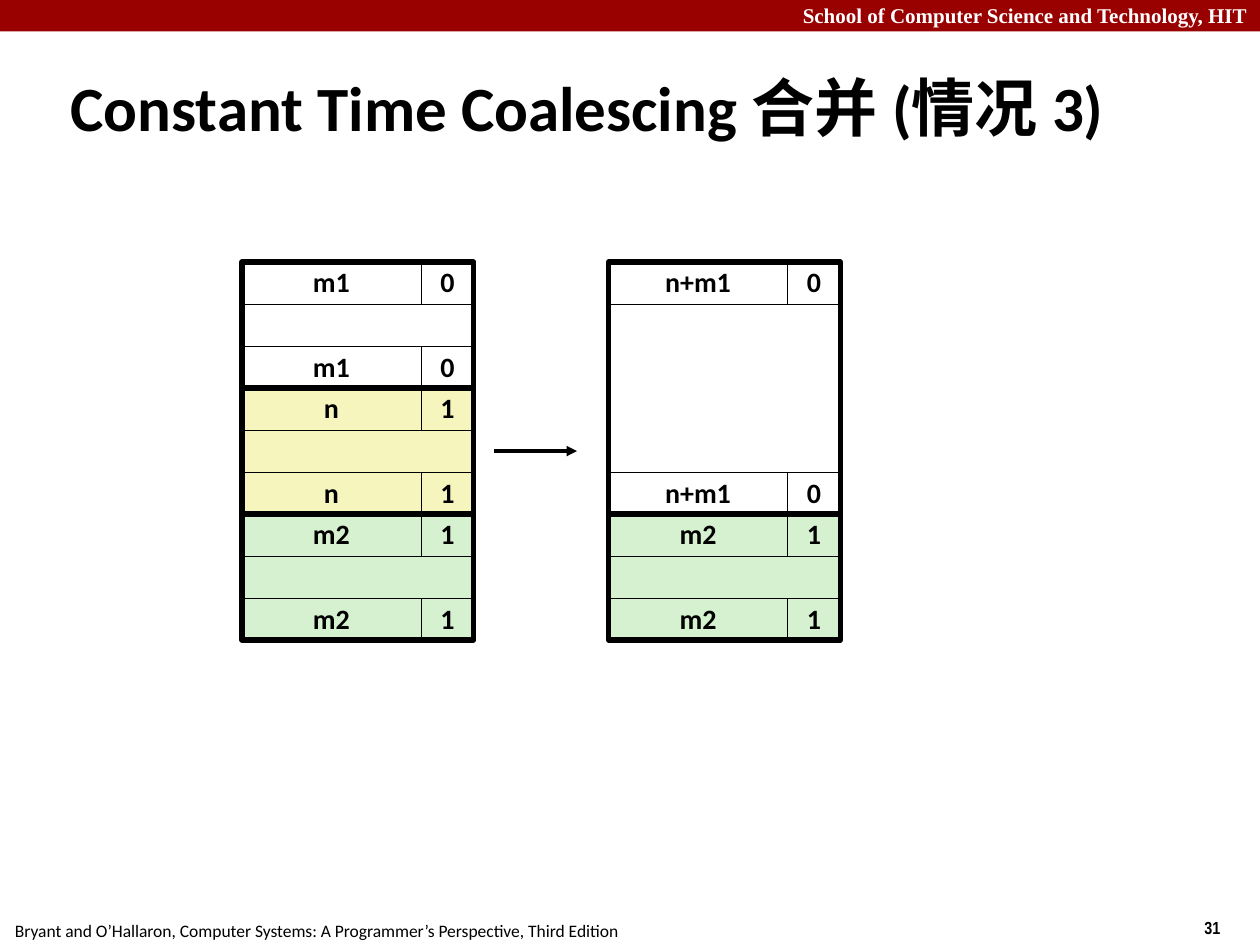
from lxml.etree import SubElement
from pptx import Presentation
from pptx.dml.color import RGBColor
from pptx.enum.shapes import MSO_CONNECTOR as Connector, MSO_SHAPE as Shape
from pptx.enum.text import MSO_ANCHOR as Anchor, MSO_AUTO_SIZE as AutoSize, PP_ALIGN as Align
from pptx.oxml.ns import qn
from pptx.util import Inches, Pt

BLACK, WHITE, RED = "000000", "FFFFFF", "990000"
YELLOW, GREEN = "F6F5BD", "D5F1CF"
ROW_HEIGHT = Inches(1) / 3
SIZE_WIDTH, FLAG_WIDTH = Inches(1.42), Inches(0.42)
BLOCK_WIDTH = SIZE_WIDTH + FLAG_WIDTH
HEAP_TOP = Inches(2.08)


def color(value):
    """Turn a hex string into a colour."""
    return RGBColor.from_string(value)


def write(shape, text, size=16, font="Calibri", fill=BLACK, bold=True,
          align=Align.LEFT, anchor=Anchor.TOP, wrap=False, spacing=1.0):
    """Write one formatted paragraph into a shape."""
    frame = shape.text_frame
    frame.word_wrap = wrap
    frame.auto_size = AutoSize.NONE
    frame.vertical_anchor = anchor
    paragraph = frame.paragraphs[0]
    paragraph.alignment = align
    paragraph.line_spacing = spacing
    run = paragraph.add_run()
    run.text = text
    run.font.size, run.font.name, run.font.bold = Pt(size), font, bold
    run.font.color.rgb = color(fill)


def add_box(slide, left, top, width, height, fill=None, line=0.25):
    """Add a rectangle, unfilled without a fill and unlined without a line."""
    shape = slide.shapes.add_shape(
        Shape.RECTANGLE, round(left), round(top), round(width), round(height))
    shape.shadow.inherit = False
    if fill:
        shape.fill.solid()
        shape.fill.fore_color.rgb = color(fill)
    else:
        shape.fill.background()
    if line:
        shape.line.color.rgb = color(BLACK)
        shape.line.width = Pt(line)
    else:
        shape.line.fill.background()
    return shape


def add_label(slide, text, left, top, width, height, **text_format):
    """Add a text box at the given box."""
    box = slide.shapes.add_textbox(Inches(left), Inches(top), Inches(width), Inches(height))
    write(box, text, **text_format)


def add_tag(slide, left, top, size, flag, fill):
    """Add a header or footer row: block size and allocated flag."""
    for text, offset, width in ((size, 0, SIZE_WIDTH), (flag, SIZE_WIDTH, FLAG_WIDTH)):
        cell = add_box(slide, left + offset, top, width, ROW_HEIGHT, fill)
        write(cell, text, align=Align.CENTER, anchor=Anchor.MIDDLE, spacing=0.98)


def add_block(slide, left, top, rows, size, flag, fill):
    """Add a heap block: header, payload and footer inside a thick frame."""
    height = rows * ROW_HEIGHT
    add_tag(slide, left, top, size, flag, fill)
    add_box(slide, left, top + ROW_HEIGHT, BLOCK_WIDTH, height - 2 * ROW_HEIGHT, fill)
    add_tag(slide, left, top + height - ROW_HEIGHT, size, flag, fill)
    add_box(slide, left, top, BLOCK_WIDTH, height, line=3)


def add_heap(slide, left, top, blocks):
    """Stack heap blocks downwards from the given corner."""
    for rows, size, flag, fill in blocks:
        add_block(slide, left, top, rows, size, flag, fill)
        top += rows * ROW_HEIGHT


def add_arrow(slide, left, top, right):
    """Add a horizontal arrow pointing right."""
    arrow = slide.shapes.add_connector(
        Connector.STRAIGHT, Inches(left), Inches(top), Inches(right), Inches(top))
    arrow.line.color.rgb = color(BLACK)
    arrow.line.width = Pt(2)
    SubElement(arrow.line._get_or_add_ln(), qn("a:tailEnd"), type="triangle")
    SubElement(arrow._element.spPr, qn("a:effectLst"))


def add_title(slide, text, left, top, width, height):
    """Place and fill the title placeholder."""
    title = slide.shapes.title
    title.left, title.top = Inches(left), Inches(top)
    title.width, title.height = Inches(width), Inches(height)
    write(title, text, size=36, anchor=Anchor.MIDDLE, wrap=True)


def add_page_frame(slide):
    """Add the school banner, the book credit and the page number."""
    add_box(slide, 0, 0, Inches(10), Inches(0.25), RED, line=None)
    add_label(slide, "School of Computer Science and Technology, HIT", 0, -0.03, 10, 0.3,
              size=12, font="Times New Roman", fill=WHITE, align=Align.RIGHT, wrap=True)
    add_label(slide, "Bryant and O’Hallaron, Computer Systems: A Programmer’s Perspective, "
              "Third Edition", 0.02, 7.25, 5.01, 0.27, size=10, bold=False)
    add_label(slide, "31", 9.46, 7.23, 0.75, 0.27, size=10, font="Arial Narrow")


def main():
    """Build and save the slide."""
    presentation = Presentation()
    presentation.slide_width, presentation.slide_height = Inches(10), Inches(7.5)
    slide = presentation.slides.add_slide(presentation.slide_layouts[5])
    add_page_frame(slide)
    add_title(slide, "Constant Time Coalescing 合并 (情况 3)", 0.46, 0.53, 9.08, 0.63)
    next_block = (3, "m2", "1", GREEN)
    add_heap(slide, Inches(1.92), HEAP_TOP,
             [(3, "m1", "0", WHITE), (3, "n", "1", YELLOW), next_block])
    add_heap(slide, Inches(4.83), HEAP_TOP, [(6, "n+m1", "0", WHITE), next_block])
    add_arrow(slide, 3.92, 3.58, 4.58)
    presentation.save("out.pptx")


if __name__ == "__main__":
    main()
